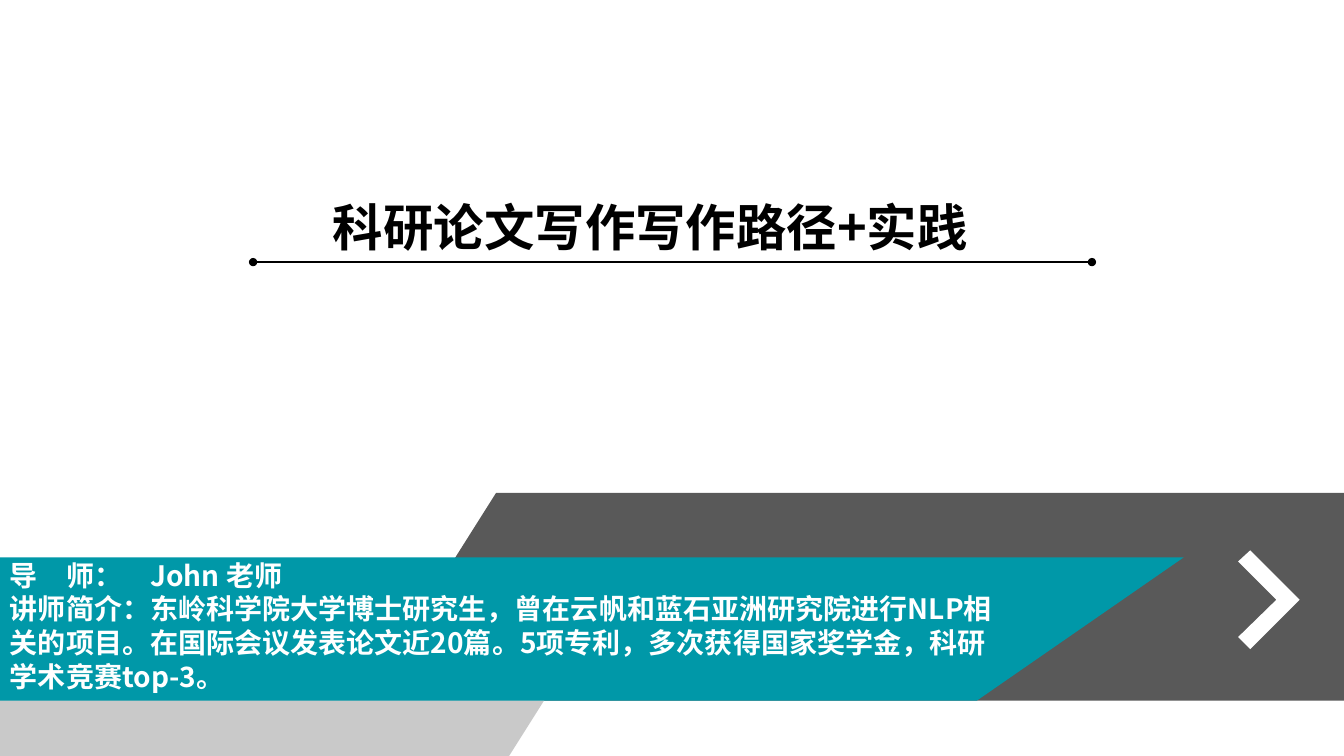
from lxml.etree import SubElement as sub
from pptx import Presentation
from pptx.dml.color import RGBColor as Rgb
from pptx.enum.shapes import MSO_CONNECTOR as Conn
from pptx.enum.text import MSO_AUTO_SIZE as Fit, PP_ALIGN as Align
from pptx.oxml.ns import qn
from pptx.util import Pt

PX = 9144
FONT = "Noto Sans CJK SC"
BANDS = [
    ("595959", [(362, 695), (492, 489), (1334, 489), (1334, 695)]),
    ("C9C9C9", [(0, 563), (623, 563), (505, 750), (0, 750)]),
    ("0098A8", [(0, 553), (1174, 553), (969, 695), (0, 695)]),
    ("FFFFFF", [(1240, 546), (1289, 595), (1240, 644),
                (1228, 632), (1266, 595), (1228, 557)]),
]
BIO = [
    "导　师：　John 老师",
    "讲师简介：东岭科学院大学博士研究生，曾在云帆和蓝石亚洲研究院进行NLP"
    "相关的项目。在国际会议发表论文近20篇。5项专利，多次获得国家奖学金，"
    "科研学术竞赛top-3。",
]


def paint(color, tone):
    """Give a color format the tone of a hex string."""
    color.rgb = Rgb.from_string(tone)


def add_band(shapes, tone, points):
    """Draw a closed flat outline through the points."""
    pen = shapes.build_freeform(*points[0], scale=PX)
    pen.add_line_segments(points[1:], close=True)
    band = pen.convert_to_shape()
    band.shadow.inherit = False
    band.fill.solid()
    paint(band.fill.fore_color, tone)
    band.line.fill.background()


def add_text(shapes, box, lines, size, tone, align=Align.LEFT):
    """Place bold lines of text in a wrapping box."""
    frame = shapes.add_textbox(*(n * PX for n in box)).text_frame
    frame.word_wrap = True
    frame.auto_size = Fit.SHAPE_TO_FIT_TEXT
    look = {"size": Pt(size), "bold": True, "name": FONT}
    for i, line in enumerate(lines):
        para = frame.add_paragraph() if i else frame.paragraphs[0]
        para.alignment = align
        para.line_spacing = Pt(round(size * 1.2))
        run = para.add_run()
        run.text = line
        for key, value in look.items():
            setattr(run.font, key, value)
        paint(run.font.color, tone)
        sub(run.font._element, qn("a:ea"), typeface=FONT)


def add_rule(shapes, left, right, y, tone):
    """Draw a level line with a dot at each end."""
    rule = shapes.add_connector(
        Conn.STRAIGHT, left * PX, y * PX, right * PX, y * PX)
    rule.line.width = Pt(1)
    paint(rule.line.color, tone)
    for end in ("a:headEnd", "a:tailEnd"):
        sub(rule.line._get_or_add_ln(), qn(end), type="oval")
    sub(rule._element.spPr, qn("a:effectLst"))


def main():
    """Build the slide and save it."""
    deck = Presentation()
    deck.slide_width, deck.slide_height = 1333 * PX, 750 * PX
    shapes = deck.slides.add_slide(deck.slide_layouts[6]).shapes
    for tone, points in BANDS:
        add_band(shapes, tone, points)
    add_text(shapes, (0, 549, 1001, 145), BIO, 20, "FFFFFF")
    add_text(shapes, (117, 190, 1056, 131), ["科研论文写作写作路径+实践"],
             36, "000000", Align.CENTER)
    add_rule(shapes, 251, 1083, 260, "000000")
    deck.save("out.pptx")


if __name__ == "__main__":
    main()
